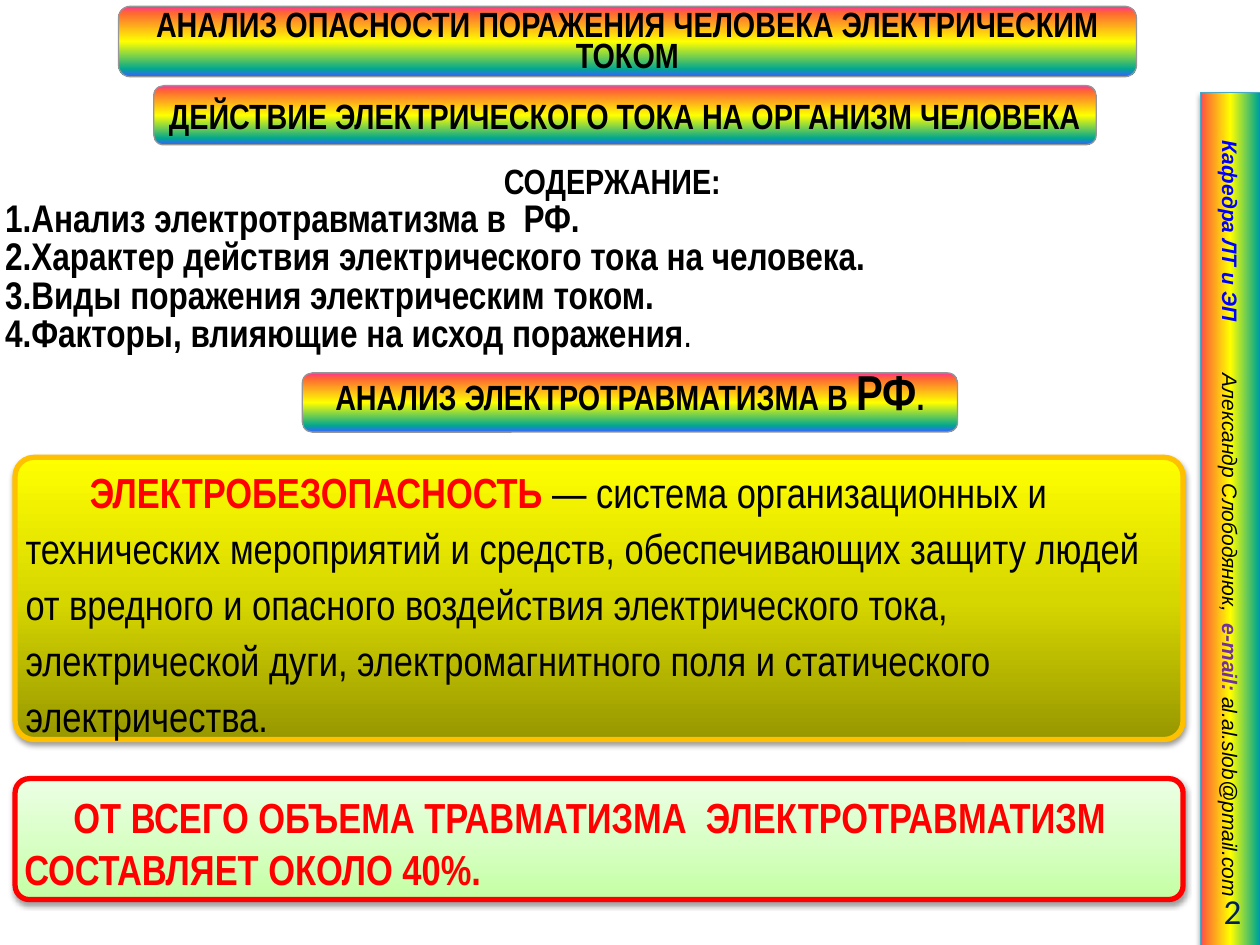
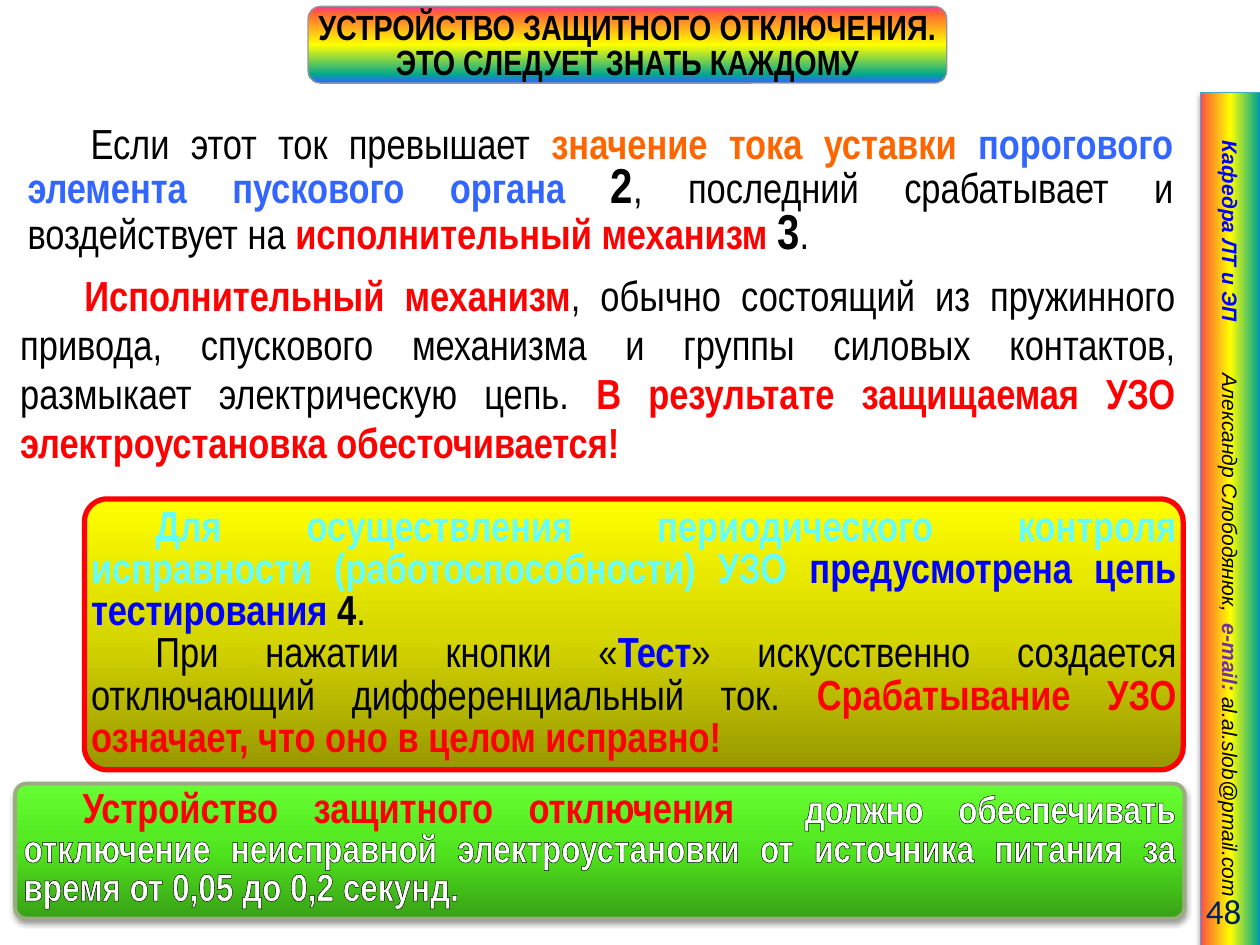
from dataclasses import dataclass

from lxml.etree import SubElement
from pptx import Presentation
from pptx.dml.color import RGBColor
from pptx.enum.shapes import MSO_SHAPE
from pptx.enum.text import MSO_ANCHOR, MSO_AUTO_SIZE, PP_ALIGN
from pptx.oxml.ns import qn
from pptx.util import Emu, Inches, Pt

COLUMNS, ROWS = 100, 75
SLIDE_W, SLIDE_H = Inches(10), Inches(7.5)

BLACK, WHITE, RED, BLUE = "000000", "FFFFFF", "FF0000", "0000FF"
PURPLE, NAVY, ORANGE, SKY, CYAN = "7030A0", "002060", "FF6600", "3366FF", "66FFFF"
RAINBOW = ["FF3399", "FF6633", "FFFF00", "01A78F", "3366FF"]
BANNER_FILL = list(zip([0, 9, 50, 89, 99], RAINBOW))
SIDEBAR_FILL = list(zip([0, 6, 50, 96, 100], RAINBOW))
YELLOW_FILL = [(0, "979700"), (50, "D7D700"), (100, "FFFF00")]
PALE_FILL = [(0, "C4FFA3"), (50, "D9FFC7"), (100, "ECFFE4")]
GREEN_FILL = [(0, "38A015"), (50, "50E41E"), (100, "66FF33")]
DOWN, UP = 90, 270

HAIRLINE, THIN, FULL = 0.07, 0.75, 1
EVEN = (0.4, 0.4, 0.4, 0.4)
NO_BOTTOM = (0.4, 0.4, 0.4, 0)
NO_SIDES = (0, 0.4, 0, 0.4)
DEFAULT_INSETS = (1, 0.5, 1, 0.5)
LEFT, CENTER, RIGHT, JUSTIFY = (
    PP_ALIGN.LEFT, PP_ALIGN.CENTER, PP_ALIGN.RIGHT, PP_ALIGN.JUSTIFY)


@dataclass
class Run:
    text: str
    color: str = BLACK
    bold: bool = False
    size: float = 24
    outline: float = 0
    font: str = "Arial Narrow"
    italic: bool = False
    tracking: float = 0


@dataclass
class Para:
    runs: list
    align: PP_ALIGN = LEFT
    indent: float = 0
    leading: float = 0
    numbered: bool = False


def rgb(value):
    return RGBColor.from_string(value)


def cols(n):
    return Emu(round(SLIDE_W * n / COLUMNS))


def rows(n):
    return Emu(round(SLIDE_H * n / ROWS))


def box(left, top, width, height):
    return cols(left), rows(top), cols(width), rows(height)


def add_color(parent, color, alpha=100):
    node = SubElement(parent, qn("a:srgbClr"), val=color)
    if alpha < 100:
        SubElement(node, qn("a:alpha"), val=str(alpha * 1000))


def outline_text(r, weight):
    ln = SubElement(r.font._element, qn("a:ln"), w=str(Pt(weight)))
    solid = SubElement(ln, qn("a:solidFill"))
    add_color(solid, BLACK, 55 if weight == HAIRLINE else 100)


def write_run(p, run):
    r = p.add_run()
    r.text = run.text
    if run.outline:
        outline_text(r, run.outline)
    font = r.font
    font.name, font.size = run.font, Pt(run.size)
    font.bold, font.italic = run.bold, run.italic
    font.color.rgb = rgb(run.color)
    if run.tracking:
        font._element.set("spc", str(round(run.tracking * 100)))


def write(sp, paras, insets):
    """Fill a shape with paragraphs; insets are left, top, right, bottom cells."""
    tf = sp.text_frame
    tf.word_wrap = True
    tf.vertical_anchor = MSO_ANCHOR.MIDDLE
    tf.margin_left, tf.margin_right = cols(insets[0]), cols(insets[2])
    tf.margin_top, tf.margin_bottom = rows(insets[1]), rows(insets[3])
    for i, para in enumerate(paras):
        p = tf.add_paragraph() if i else tf.paragraphs[0]
        p.alignment = para.align
        if para.leading:
            p.line_spacing = Pt(para.leading)
        pPr = p._p.get_or_add_pPr()
        pPr.set("marL", "0")
        pPr.set("indent", str(cols(para.indent)))
        if para.numbered:
            SubElement(pPr, qn("a:buFontTx"))
            SubElement(pPr, qn("a:buAutoNum"), type="arabicPeriod")
            tabs = SubElement(pPr, qn("a:tabLst"))
            SubElement(tabs, qn("a:tab"), pos=str(cols(2.5)), algn="l")
        for run in para.runs:
            write_run(p, run)


def fill_gradient(sp, stops, angle):
    sp.fill.gradient()
    grad = sp._element.spPr.find(qn("a:gradFill"))
    for child in list(grad):
        grad.remove(child)
    grad.set("rotWithShape", "1")
    stop_list = SubElement(grad, qn("a:gsLst"))
    for position, color in stops:
        add_color(SubElement(stop_list, qn("a:gs"), pos=str(position * 1000)), color)
    SubElement(grad, qn("a:lin"), ang=str(angle * 60000), scaled="1")


def add_soft_shadow(sp):
    effects = sp._element.spPr.find(qn("a:effectLst"))
    shadow = SubElement(effects, qn("a:outerShdw"), blurRad=str(Pt(3.1)),
                        dist=str(Pt(1.6)), dir=str(90 * 60000), rotWithShape="0")
    add_color(shadow, BLACK, 38)


def add_block(slide, at, stops, angle, line, weight, shadow=False, corner=None,
              kind=MSO_SHAPE.ROUNDED_RECTANGLE):
    sp = slide.shapes.add_shape(kind, *box(*at))
    sp.shadow.inherit = False
    if corner is not None:
        sp.adjustments[0] = corner
    fill_gradient(sp, stops, angle)
    sp.line.color.rgb = rgb(line)
    sp.line.width = Pt(weight)
    if shadow:
        add_soft_shadow(sp)
    return sp


def add_banner(slide, text, top, width, height, leading=0, insets=NO_BOTTOM,
               center=49.8):
    """Rainbow heading; text is a string or a list of runs."""
    sp = add_block(slide, (center - width / 2, top, width, height),
                   BANNER_FILL, DOWN, "969696", 0.75)
    runs = [Run(text, bold=True, size=20)] if isinstance(text, str) else text
    write(sp, [Para(runs, CENTER, leading=leading)], insets)


def add_panel(slide, at, stops, line, paras, insets, corner, weight=3, shadow=True):
    sp = add_block(slide, at, stops, UP, line, weight, shadow, corner)
    write(sp, paras, insets)


def add_text(slide, at, paras, insets=EVEN, grow=True):
    sp = slide.shapes.add_textbox(*box(*at))
    write(sp, paras, insets)
    if grow:
        sp.text_frame.auto_size = MSO_AUTO_SIZE.SHAPE_TO_FIT_TEXT


def add_sidebar(slide, number):
    sp = add_block(slide, (63.8, 38.8, 67.7, 4.8), SIDEBAR_FILL, UP, "46AAC5", 0.75,
                   shadow=True, kind=MSO_SHAPE.RECTANGLE)
    sp.rotation = 90
    style = dict(size=12, font="Arial", italic=True)
    write(sp, [Para([
        Run("Кафедра ЛТ и ЭП", BLUE, True, **style),
        Run(" ", BLUE, True, tracking=26.7, **style),
        Run("Александр Слободянюк,  ", **style),
        Run("e-mail: ", PURPLE, True, **style),
        Run("al.al.slob@pmail.com", **style),
    ], CENTER)], DEFAULT_INSETS)
    add_text(slide, (88.6, 70.3, 10.9, 4),
             [Para([Run(str(number), NAVY, size=20, font="Calibri")], RIGHT)],
             DEFAULT_INSETS, grow=False)


def new_slide(prs, number):
    slide = prs.slides.add_slide(prs.slide_layouts[6])
    add_sidebar(slide, number)
    return slide


def build_contents(prs):
    slide = new_slide(prs, 2)
    topics = ["Анализ электротравматизма в  РФ.",
              "Характер действия электрического тока на человека.",
              "Виды поражения электрическим током.",
              "Факторы, влияющие на исход поражения"]
    items = [Para([Run(t, bold=True, size=22)], indent=-5, leading=22, numbered=True)
             for t in topics]
    items[-1].runs.append(Run(".", size=22))
    heading = Para([Run("СОДЕРЖАНИЕ:", bold=True, size=20)], CENTER, 2, 24)
    add_text(slide, (0, 12.2, 95.2, 16.5), [heading] + items)

    add_banner(slide, [Run("АНАЛИЗ ЭЛЕКТРОТРАВМАТИЗМА В ", bold=True, size=20),
                       Run("РФ", bold=True, size=28), Run(".", bold=True, size=20)],
               29.6, 52, 4.7, 20, EVEN, center=50)
    add_panel(slide, (1.2, 36.3, 92.7, 22.4), YELLOW_FILL, "FFC000", [Para([
        Run("ЭЛЕКТРОБЕЗОПАСНОСТЬ ", RED, True, outline=HAIRLINE),
        Run("— система организационных и технических мероприятий и средств, "
            "обеспечивающих защиту людей от вредного и опасного воздействия "
            "электрического тока, электрической дуги, электромагнитного поля "
            "и статического электричества."),
    ], indent=5.1, leading=32)], NO_BOTTOM, 0.067)
    add_panel(slide, (1.2, 61.8, 92.7, 9.6), PALE_FILL, RED, [Para([
        Run("ОТ ВСЕГО ОБЪЕМА ТРАВМАТИЗМА  ЭЛЕКТРОТРАВМАТИЗМ СОСТАВЛЯЕТ ОКОЛО 40%.",
            RED, True, outline=HAIRLINE),
    ], indent=3.9, leading=30)], NO_BOTTOM, 0.117)
    add_banner(slide, "ДЕЙСТВИЕ ЭЛЕКТРИЧЕСКОГО ТОКА НА ОРГАНИЗМ ЧЕЛОВЕКА",
               6.8, 74.8, 4.7, insets=EVEN, center=49.6)
    add_banner(slide, "АНАЛИЗ ОПАСНОСТИ ПОРАЖЕНИЯ ЧЕЛОВЕКА ЭЛЕКТРИЧЕСКИМ ТОКОМ",
               0.5, 80.8, 5.6, 18)


def build_cutoff_device(prs):
    slide = new_slide(prs, 48)
    add_text(slide, (1.2, 21, 92.5, 16.5), [Para([
        Run("Исполнительный механизм", RED, True, outline=THIN),
        Run(", обычно состоящий из пружинного привода, спускового механизма "
            "и группы силовых контактов, размыкает электрическую цепь. "),
        Run("В результате защищаемая УЗО электроустановка обесточивается!",
            RED, True, outline=THIN),
    ], JUSTIFY, 5.1, 28)])
    add_banner(slide, "УСТРОЙСТВО ЗАЩИТНОГО ОТКЛЮЧЕНИЯ. ЭТО СЛЕДУЕТ ЗНАТЬ КАЖДОМУ",
               0.5, 50.7, 6.1, 20)
    add_text(slide, (1.2, 9.2, 92.9, 11.9), [Para([
        Run("Если этот ток превышает "),
        Run("значение тока уставки ", ORANGE, True, outline=THIN),
        Run("порогового элемента пускового органа ", SKY, True, outline=FULL),
        Run("2", bold=True, size=28),
        Run(", последний срабатывает и воздействует на "),
        Run("исполнительный механизм ", RED, True, outline=THIN),
        Run("3", bold=True, size=28),
        Run("."),
    ], JUSTIFY, 5, 26)], DEFAULT_INSETS)
    add_panel(slide, (1.2, 62.2, 92.8, 10.7), GREEN_FILL, "99AD80", [Para([
        Run("Устройство защитного отключения ", RED, True, outline=THIN),
        Run(" должно обеспечивать отключение неисправной электроустановки "
            "от источника питания за время от 0,05 до 0,2 секунд.",
            WHITE, True, 22, FULL),
    ], JUSTIFY, 4.7, 22)], EVEN, 0.083, weight=2.25)
    add_panel(slide, (6.7, 39.6, 87.2, 21.5), YELLOW_FILL, RED, [
        Para([
            Run("Для осуществления периодического контроля исправности "
                "(работоспособности) УЗО ", CYAN, True, outline=HAIRLINE),
            Run("предусмотрена цепь тестирования ", BLUE, True, outline=HAIRLINE),
            Run("4", bold=True),
            Run("."),
        ], JUSTIFY, 5.1, 24),
        Para([
            Run("При нажатии кнопки «"),
            Run("Тест", BLUE, True, outline=HAIRLINE),
            Run("» искусственно создается отключающий дифференциальный ток. "),
            Run("Срабатывание УЗО означает, что оно в целом исправно!",
                RED, True, outline=HAIRLINE),
        ], JUSTIFY, 5.1, 24),
    ], NO_SIDES, 0.084, shadow=False)


def main():
    prs = Presentation()
    prs.slide_width, prs.slide_height = SLIDE_W, SLIDE_H
    build_contents(prs)
    build_cutoff_device(prs)
    prs.save("out.pptx")


if __name__ == "__main__":
    main()
